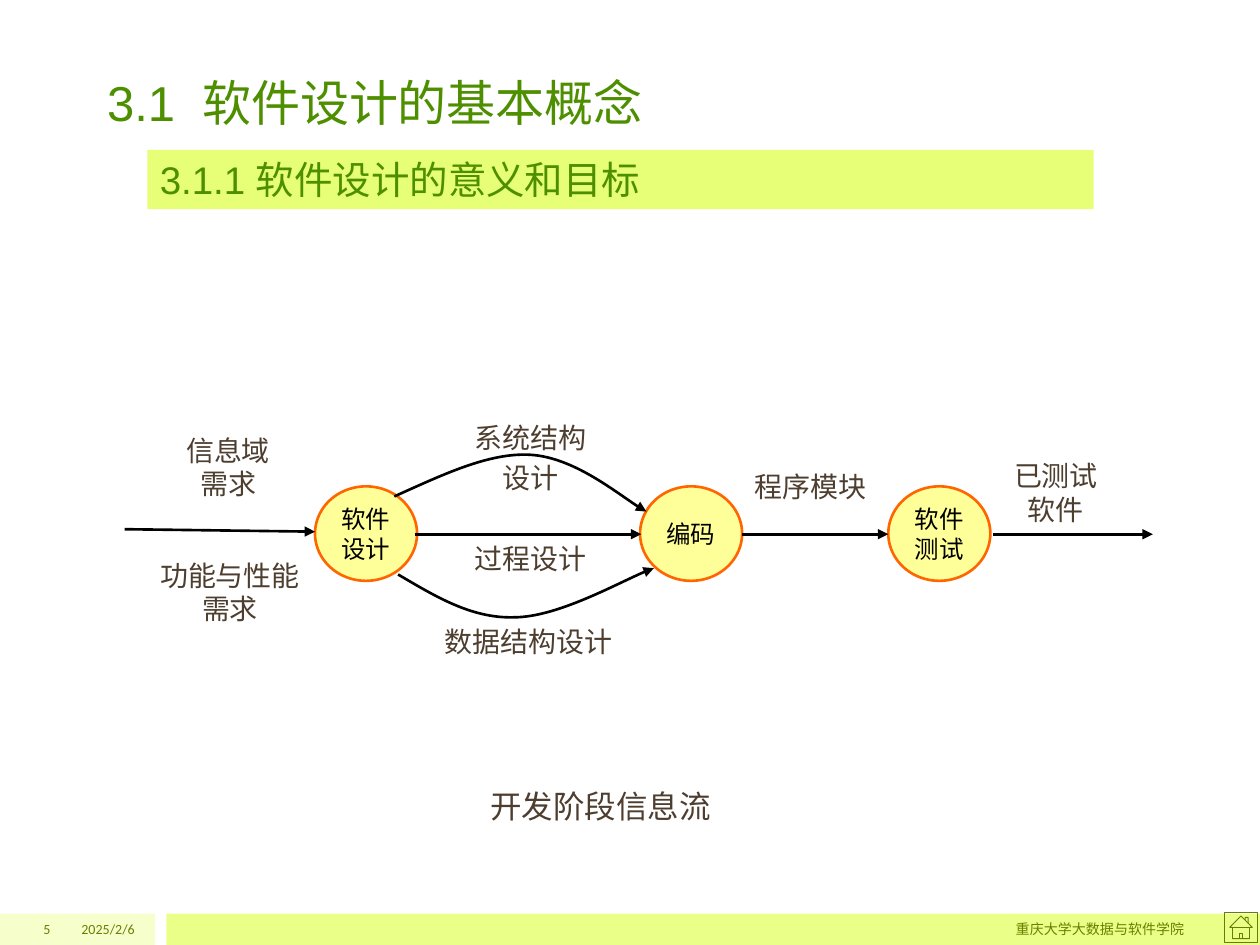
from lxml import etree
from pptx import Presentation
from pptx.dml.color import RGBColor
from pptx.enum.shapes import MSO_CONNECTOR, MSO_SHAPE
from pptx.enum.text import MSO_ANCHOR, PP_ALIGN
from pptx.oxml.ns import qn
from pptx.util import Inches, Pt

RECT, OVAL, HOME = MSO_SHAPE.RECTANGLE, MSO_SHAPE.OVAL, MSO_SHAPE.ACTION_BUTTON_HOME
STRAIGHT = MSO_CONNECTOR.STRAIGHT
LEFT, CENTER, RIGHT = PP_ALIGN.LEFT, PP_ALIGN.CENTER, PP_ALIGN.RIGHT
TOP, MIDDLE, BOTTOM = MSO_ANCHOR.TOP, MSO_ANCHOR.MIDDLE, MSO_ANCHOR.BOTTOM
COLORS = {
    "heading": "4E8F00", "bar": "E6FF77", "footer_light": "F6FFCC",
    "footer": "E9FF88", "footer_text": "688000", "home": "677E00",
    "node": "FFFF99", "node_line": "FF6600", "label": "4D3E2F", "black": "000000",
}


def rgb(name):
    """Return the named colour."""
    return RGBColor.from_string(COLORS[name])


def write(shape, lines, size, color, align=CENTER, anchor=TOP, font="Arial", wrap=True):
    """Write one paragraph per line into a shape."""
    tf = shape.text_frame
    tf.word_wrap = wrap
    tf.vertical_anchor = anchor
    for i, line in enumerate(lines):
        p = tf.add_paragraph() if i else tf.paragraphs[0]
        p.alignment = align
        r = p.add_run()
        r.text = line
        r.font.size = Pt(size)
        r.font.name = font
        r.font.color.rgb = rgb(color)
    return tf


def add_text(s, box, lines, size, color, **options):
    """Add a text box."""
    sp = s.shapes.add_textbox(*map(Inches, box))
    write(sp, lines, size, color, **options)
    return sp


def add_block(s, kind, box, fill=None, line=None, width=1.5):
    """Add a preset shape with optional fill and outline."""
    sp = s.shapes.add_shape(kind, *map(Inches, box))
    sp.shadow.inherit = False
    if fill:
        sp.fill.solid()
        sp.fill.fore_color.rgb = rgb(fill)
    else:
        sp.fill.background()
    if line:
        sp.line.color.rgb = rgb(line)
        sp.line.width = Pt(width)
    else:
        sp.line.fill.background()
    return sp


def style_arrow(sp):
    """Give a line a black stroke and a triangular head."""
    sp.line.color.rgb = rgb("black")
    sp.line.width = Pt(1.5)
    etree.SubElement(sp.line._get_or_add_ln(), qn("a:tailEnd"), type="triangle")


def add_arrow(s, start, end):
    """Add a straight arrow."""
    cx = s.shapes.add_connector(STRAIGHT, *map(Inches, start + end))
    style_arrow(cx)
    etree.SubElement(cx._element.spPr, qn("a:effectLst"))


def add_curve(s, points):
    """Add a curved arrow through cubic Bezier control points."""
    start, *rest = [(Inches(x), Inches(y)) for x, y in points]
    builder = s.shapes.build_freeform(*start)
    builder.add_line_segments(rest, close=False)
    sp = builder.convert_to_shape()
    sp.shadow.inherit = False
    sp.fill.background()
    style_arrow(sp)
    outline = next(sp._element.iter(qn("a:path")))
    segments = outline.findall(qn("a:lnTo"))
    for i in range(0, len(segments), 3):
        bezier = etree.SubElement(outline, qn("a:cubicBezTo"))
        for segment in segments[i:i + 3]:
            bezier.append(segment[0])
            outline.remove(segment)


def add_headings(s, left, top):
    """Place the chapter title and the section bar."""
    title = s.shapes.title
    title.left, title.top = Inches(left), Inches(top)
    title.width, title.height = Inches(8.51), Inches(0.71)
    write(title, ["3.1  软件设计的基本概念"], 28, "heading", align=LEFT, anchor=BOTTOM)
    bar = add_block(s, RECT, (left + 0.42, top + 0.81, 7.51, 0.47), "bar")
    write(bar, ["3.1.1 软件设计的意义和目标"], 22, "heading", align=LEFT, anchor=MIDDLE)


def add_footer(s, top, height):
    """Place the footer band with number, date, school and home button."""
    add_block(s, RECT, (0, top, 1.23, height), "footer_light")
    add_block(s, RECT, (1.32, top, 8.68, height), "footer")
    add_block(s, HOME, (9.72, top - 0.01, 0.26, 0.24), line="home", width=0.5)
    for left, width, text in [(0, 0.5, "5"), (0.5, 0.67, "2025/2/6"),
                              (2, 7.5, "重庆大学大数据与软件学院")]:
        add_text(s, (left, top, width, height), [text], 8, "footer_text",
                 align=RIGHT, anchor=MIDDLE, font="Calibri")


def add_flow(s, left, top):
    """Place the information flow diagram."""
    nodes = [(1.51, ["软件", "设计"]), (4.09, ["编码"]), (6.06, ["软件", "测试"])]
    for x, lines in nodes:
        node = add_block(s, OVAL, (left + x, top + 0.57, 0.81, 0.75), "node", "node_line")
        write(node, lines, 14, "black", anchor=MIDDLE, wrap=False)

    axis = top + 0.95
    for x1, y1, x2, y2 in [(0, -0.04, 1.51, -0.02), (2.3, 0, 4.1, 0),
                           (4.9, 0, 6.06, 0), (6.89, 0, 8.16, 0)]:
        add_arrow(s, (left + x1, axis + y1), (left + x2, axis + y2))

    curves = [
        [(2.14, 0.65), (2.52, 0.48), (2.89, 0.3), (3.22, 0.32),
         (3.56, 0.34), (3.99, 0.69), (4.14, 0.77)],
        [(2.17, 1.27), (2.46, 1.44), (2.75, 1.62), (3.09, 1.61),
         (3.43, 1.61), (4.02, 1.28), (4.2, 1.22)],
    ]
    for points in curves:
        add_curve(s, [(left + x, top + y) for x, y in points])

    labels = [
        (0.13, 0.1, 1.38, 0.81, ["信息域", "需求"], CENTER),
        (0.09, 1.09, 1.49, 0.81, ["功能与性能需求"], CENTER),
        (2.68, 0.96, 1.48, 0.47, ["过程设计"], LEFT),
        (2.04, 1.62, 2.33, 0.47, ["数据结构设计"], CENTER),
        (4.9, 0.39, 1.48, 0.47, ["程序模块"], LEFT),
        (6.7, 0.3, 1.38, 0.81, ["已测试", "软件"], CENTER),
    ]
    for x, y, w, h, lines, align in labels:
        add_text(s, (left + x, top + y, w, h), lines, 16, "label", align=align)
    structure = add_text(s, (left + 2.49, top, 1.46, 0.66), ["系统结构", "设计"], 16, "label")
    structure.rotation = 0.5
    structure.text_frame.paragraphs[1].line_spacing = 1.2


def main():
    """Build and save the slide."""
    prs = Presentation()
    prs.slide_width, prs.slide_height = Inches(10), Inches(7.5)
    s = prs.slides.add_slide(prs.slide_layouts[5])
    add_footer(s, 7.25, 0.25)
    add_headings(s, 0.75, 0.38)
    add_flow(s, 0.99, 3.29)
    add_text(s, (3.39, 6.2, 2.75, 0.4), ["开发阶段信息流"], 18, "label",
             font="Noto Sans CJK SC")
    prs.save("out.pptx")


if __name__ == "__main__":
    main()
